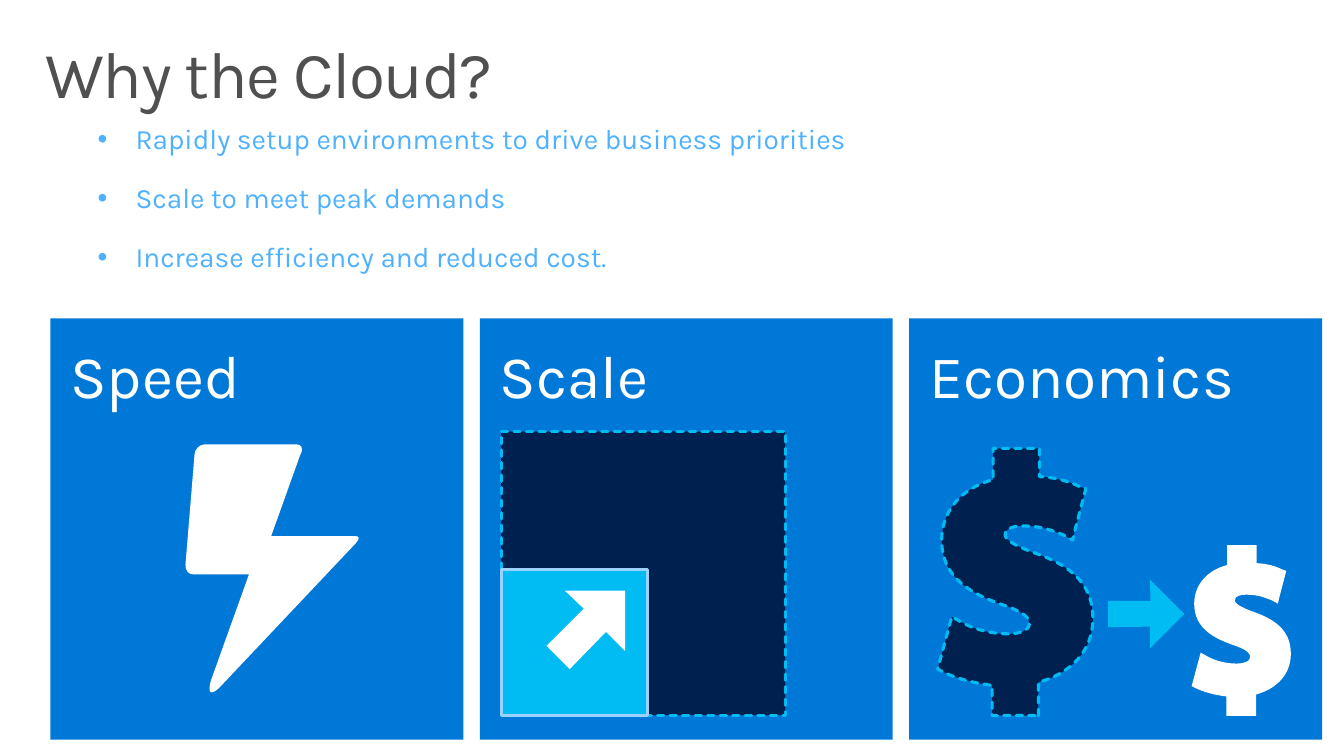
from dataclasses import dataclass

import lxml.etree
import pptx
import pptx.dml.color
import pptx.enum.dml
import pptx.enum.shapes
import pptx.enum.text
import pptx.oxml.ns
import pptx.util

Pt = pptx.util.Pt
qn = pptx.oxml.ns.qn


@dataclass(frozen=True)
class Theme:
    """Colours and type sizes of the slide."""

    font: str = "Karla"
    title_size: float = 47
    tile_size: float = 43.1
    list_size: float = 20
    title: str = "505050"
    list: str = "4EB1FF"
    tile: str = "0078D7"
    dark: str = "002050"
    accent: str = "00BCF2"
    pale: str = "9BD2FF"
    white: str = "FFFFFF"
    line_width: float = 2.25


THEME = Theme()

REASONS = (
    "Rapidly setup environments to drive business priorities",
    "Scale to meet peak demands",
    "Increase efficiency and reduced cost.",
)

# Each outline item is a corner (x, y) or a Bézier curve (x1, y1, x2, y2, x, y).
BOLT = (
    (114, 10), (118, 3, 114, 0, 110, 0), (19, 0), (14, 0, 9, 5, 9, 10),
    (0, 119), (0, 126, 3, 129, 8, 129), (63, 129), (25, 235),
    (22, 247, 25, 249, 33, 242), (169, 98), (173, 93, 173, 91, 168, 91), (85, 91),
)
DOLLAR = (
    (100, 265), (100, 232), (133, 223, 154, 200, 154, 169),
    (154, 138, 137, 118, 97, 104), (83, 99, 67, 92, 67, 86),
    (67, 78, 78, 77, 85, 77), (105, 77, 117, 83, 125, 86),
    (134, 91), (136, 82), (147, 40), (141, 38),
    (133, 34, 120, 29, 101, 28), (101, 0), (55, 0), (55, 31),
    (24, 39, 4, 62, 4, 91), (4, 130, 36, 145, 64, 155),
    (88, 163, 91, 169, 91, 174), (91, 181, 80, 184, 70, 184),
    (49, 184, 31, 177, 23, 172), (14, 167), (0, 219), (6, 222),
    (18, 228, 36, 233, 54, 235), (54, 265),
)
ARROW = ((78, 0), (78, 60), (59, 41), (23, 78), (0, 55), (37, 18), (18, 0))


def rgb(code):
    """Turn a hex code into a colour."""
    return pptx.dml.color.RGBColor.from_string(code)


def apply(target, **values):
    """Set every given attribute on the target."""
    for name, value in values.items():
        setattr(target, name, value)


def format_paragraph(paragraph, size, color, **values):
    """Left-align a paragraph and give it the theme font."""
    apply(paragraph, alignment=pptx.enum.text.PP_ALIGN.LEFT, **values)
    for run in paragraph.runs:
        apply(run.font, name=THEME.font, size=Pt(size))
        run.font.color.rgb = rgb(color)


def format_frame(frame, side, end):
    """Set the margins of a text frame and anchor its text at the top."""
    apply(frame, margin_left=Pt(side), margin_right=Pt(side),
          margin_top=Pt(end), margin_bottom=Pt(end), word_wrap=True,
          auto_size=pptx.enum.text.MSO_AUTO_SIZE.NONE,
          vertical_anchor=pptx.enum.text.MSO_ANCHOR.TOP)


def place(shape, box):
    """Move a shape to a box given in points."""
    for name, value in zip(("left", "top", "width", "height"), box):
        setattr(shape, name, Pt(value))


def paint(shape, fill, line=None, dashed=False):
    """Give a shape a plain fill and an optional outline."""
    shape.shadow.inherit = False
    shape.fill.solid()
    shape.fill.fore_color.rgb = rgb(fill)
    if line is None:
        shape.line.fill.background()
        return
    shape.line.color.rgb = rgb(line)
    shape.line.width = Pt(THEME.line_width)
    if dashed:
        shape.line.dash_style = pptx.enum.dml.MSO_LINE.SQUARE_DOT
        shape._element.spPr.find(qn("a:ln")).set("cap", "rnd")


def add_rectangle(slide, box, fill, line=None, dashed=False):
    """Add a painted rectangle in a box given in points."""
    shape = slide.shapes.add_shape(pptx.enum.shapes.MSO_SHAPE.RECTANGLE, *map(Pt, box))
    paint(shape, fill, line, dashed)
    return shape


def add_outline(slide, outline, left, top, unit, fill, line=None, dashed=False):
    """Add an outline whose units are the given number of points."""
    scaled = [[value * Pt(unit) for value in item] for item in outline]
    builder = slide.shapes.build_freeform(*scaled[0])
    builder.add_line_segments([item[-2:] for item in scaled[1:]], close=True)
    shape = builder.convert_to_shape(Pt(left), Pt(top))
    for segment, item in zip(list(shape._element.iter(qn("a:lnTo"))), scaled[1:]):
        if len(item) == 6:
            curve = lxml.etree.Element(qn("a:cubicBezTo"))
            for x, y in zip(item[::2], item[1::2]):
                lxml.etree.SubElement(curve, qn("a:pt"), x=str(x), y=str(y))
            segment.getparent().replace(segment, curve)
    paint(shape, fill, line, dashed)
    return shape


def add_title(slide, box):
    """Fill the title placeholder."""
    title = slide.shapes.title
    place(title, box)
    title.text_frame.text = "Why the Cloud?"
    format_frame(title.text_frame, 11.52, 7.2)
    paragraph = title.text_frame.paragraphs[0]
    format_paragraph(paragraph, THEME.title_size, THEME.title, line_spacing=0.9)
    paragraph.runs[0].font._element.set("spc", "-100")


def add_reasons(slide, box):
    """Fill the body placeholder with the bulleted reasons."""
    body = slide.placeholders[1]
    place(body, box)
    body.text_frame.text = "\n".join(REASONS)
    format_frame(body.text_frame, 7.2, 3.6)
    for index, paragraph in enumerate(body.text_frame.paragraphs):
        properties = paragraph._p.get_or_add_pPr()
        properties.set("marL", str(Pt(27)))
        properties.set("indent", str(-Pt(27)))
        for tag, name, value in (("a:buFont", "typeface", "Arial"), ("a:buChar", "char", "•")):
            bullet = lxml.etree.SubElement(properties, qn(tag))
            bullet.set(name, value)
        format_paragraph(paragraph, THEME.list_size, THEME.list,
                         space_before=Pt(18 if index else 0))


def add_tile(slide, box, heading, draw_icon):
    """Add a headed tile and draw its icon inside."""
    tile = add_rectangle(slide, box, THEME.tile)
    tile.text_frame.text = heading
    format_frame(tile.text_frame, 14.4, 14.4)
    format_paragraph(tile.text_frame.paragraphs[0], THEME.tile_size, THEME.white)
    draw_icon(slide, box[0], box[1])


def draw_speed(slide, left, top):
    """Draw the lightning bolt."""
    add_outline(slide, BOLT, left + 96.5, top + 90, 0.72, THEME.white)


def draw_scale(slide, left, top):
    """Draw a small square growing into a large one."""
    corner, bottom = left + 15.3, top + 283.7
    for size, style in ((203, (THEME.dark, THEME.accent, True)),
                        (104.4, (THEME.accent, THEME.pale))):
        add_rectangle(slide, (corner, bottom - size, size, size), *style)
    add_outline(slide, ARROW, left + 47.7, top + 194.4, 0.72, THEME.white)


def draw_economics(slide, left, top):
    """Draw a large dollar sign shrinking to a small one."""
    add_outline(slide, DOLLAR, left + 20.4, top + 92.9, 0.72, THEME.dark, THEME.accent, True)
    arrow = add_outline(slide, ARROW, left + 142, top + 188.6, 0.58, THEME.accent)
    arrow.rotation = 45
    add_outline(slide, DOLLAR, left + 201.8, top + 162, 0.46, THEME.white)


def main():
    """Build and save the presentation."""
    presentation = pptx.Presentation()
    presentation.slide_width = Pt(960)
    presentation.slide_height = Pt(540)
    slide = presentation.slides.add_slide(presentation.slide_layouts[1])
    add_title(slide, (20.9, 22.8, 918, 70.6))
    add_reasons(slide, (62.6, 83.5, 653.8, 116.6))
    tiles = (("Speed", draw_speed), ("Scale", draw_scale), ("Economics", draw_economics))
    for index, (heading, draw_icon) in enumerate(tiles):
        add_tile(slide, (36 + index * 306.7, 227.4, 295, 301), heading, draw_icon)
    presentation.save("out.pptx")


if __name__ == "__main__":
    main()
